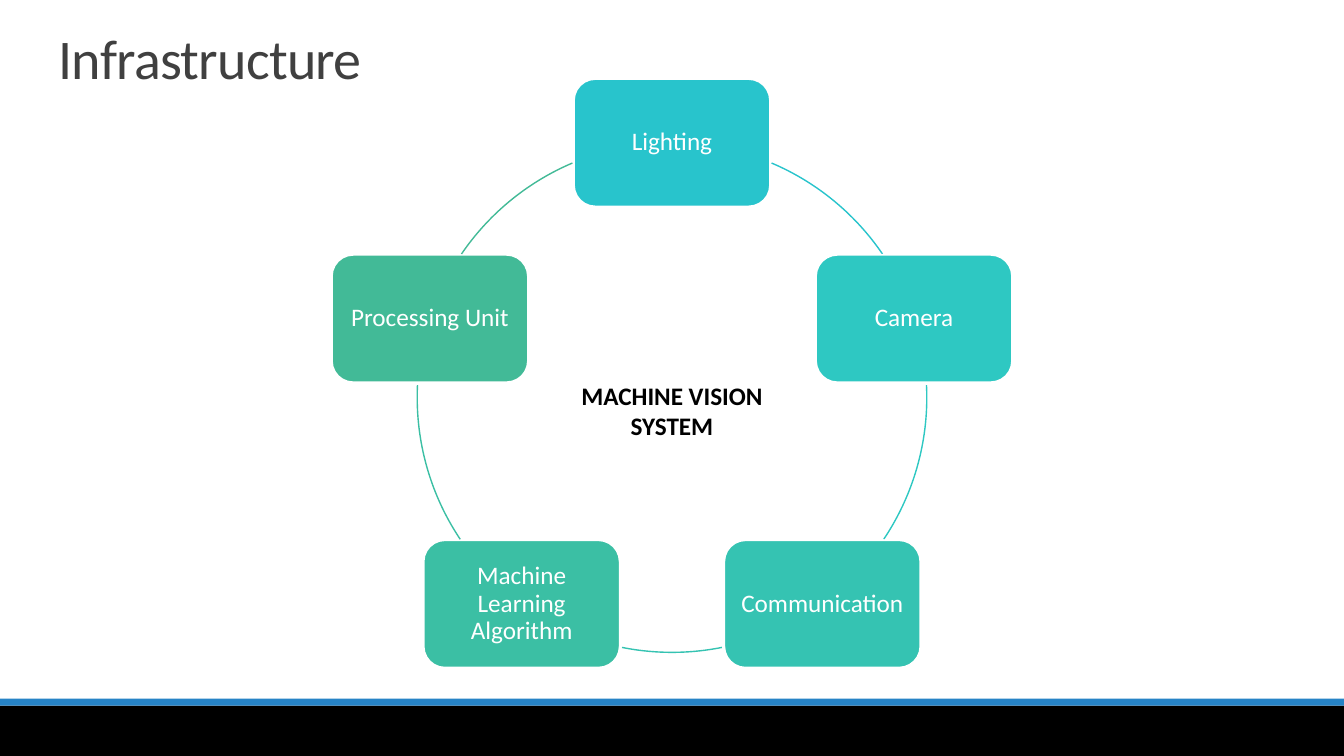
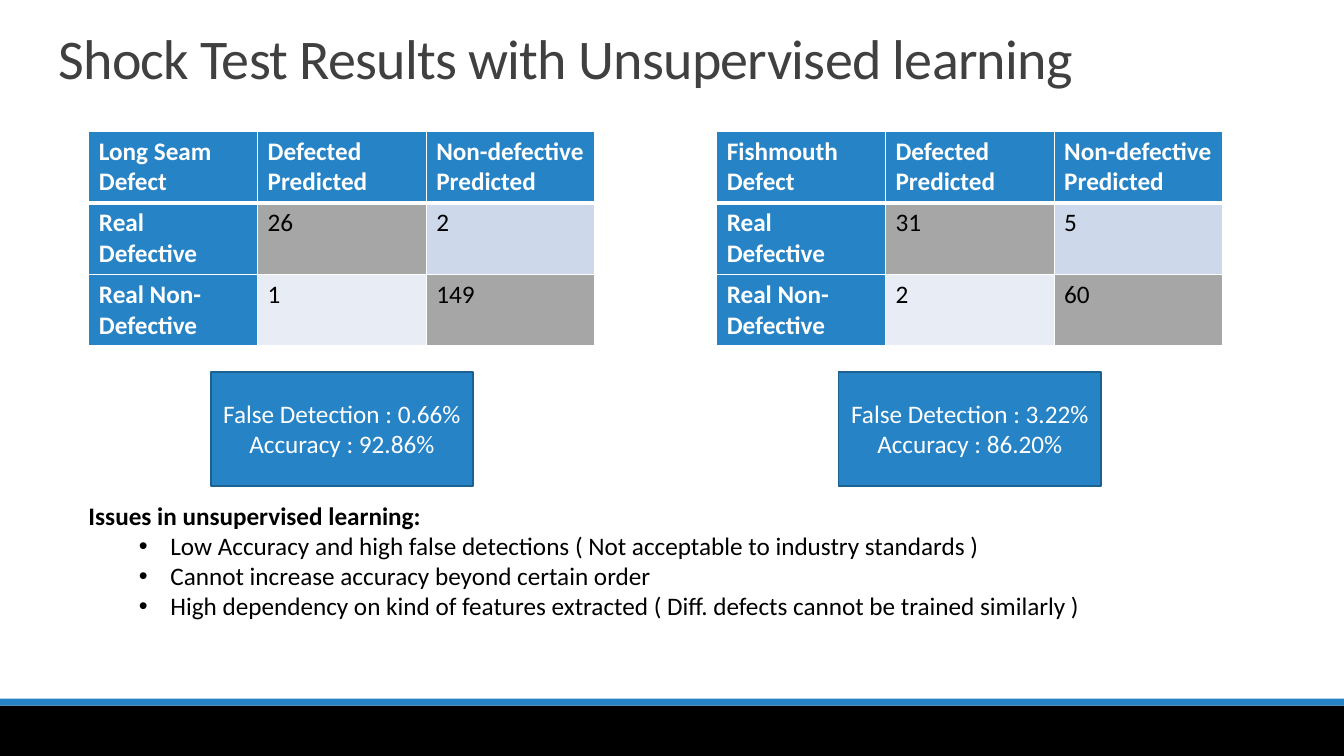
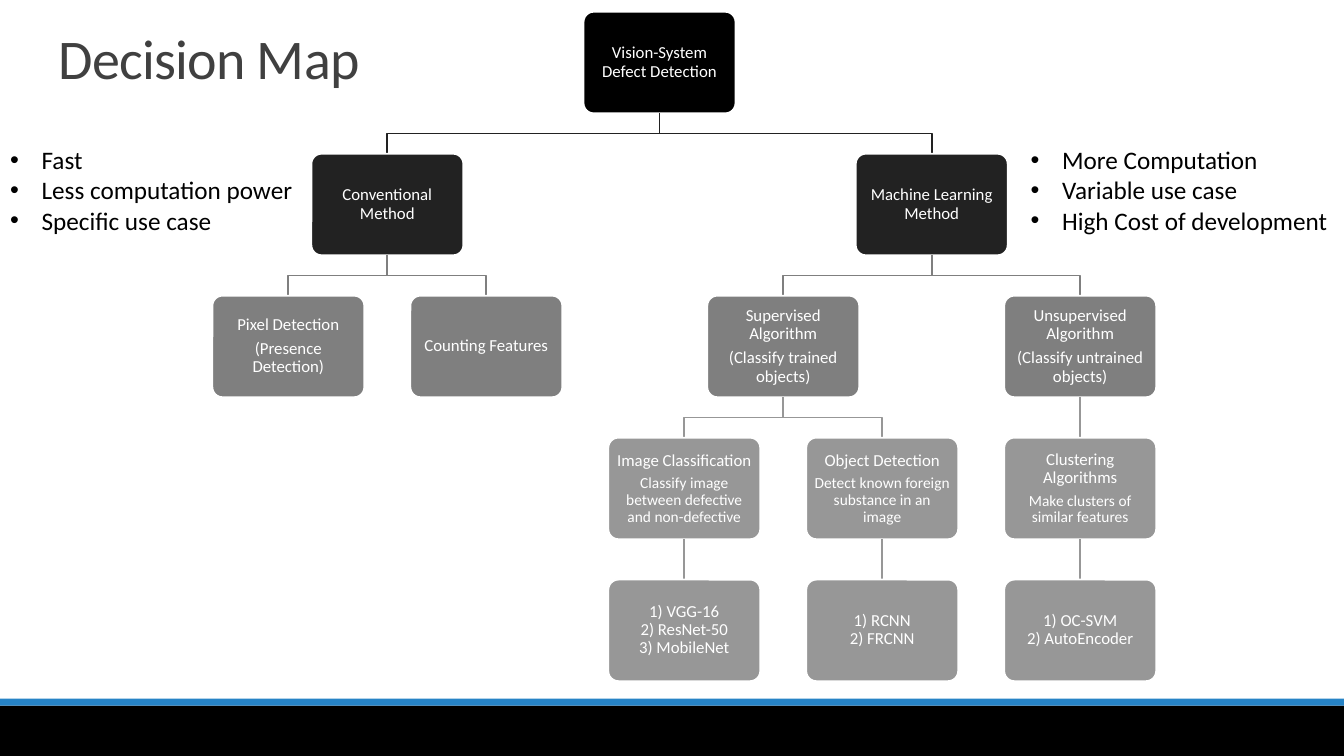
from copy import deepcopy

from lxml.etree import SubElement
from pptx import Presentation
from pptx.dml.color import RGBColor
from pptx.enum.shapes import MSO_CONNECTOR, MSO_SHAPE
from pptx.enum.text import MSO_ANCHOR, MSO_AUTO_SIZE, PP_ALIGN
from pptx.oxml.ns import qn
from pptx.util import Pt

RECT, ROUND, ARC = MSO_SHAPE.RECTANGLE, MSO_SHAPE.ROUNDED_RECTANGLE, MSO_SHAPE.ARC
STRAIGHT = MSO_CONNECTOR.STRAIGHT
LEFT, CENTER = PP_ALIGN.LEFT, PP_ALIGN.CENTER
TOP, MIDDLE, BOTTOM = MSO_ANCHOR.TOP, MSO_ANCHOR.MIDDLE, MSO_ANCHOR.BOTTOM
NO_FIT = MSO_AUTO_SIZE.NONE

WHITE = RGBColor(0xFF, 0xFF, 0xFF)
BLACK = RGBColor(0x00, 0x00, 0x00)
TITLE_GREY = RGBColor(0x40, 0x40, 0x40)
BLUE = RGBColor(0x26, 0x83, 0xC6)
DARK_BLUE = RGBColor(0x1C, 0x61, 0x92)
HIT_GREY = RGBColor(0xA6, 0xA6, 0xA6)
PALE_BLUE = RGBColor(0xCD, 0xD9, 0xEA)
PALER_BLUE = RGBColor(0xE8, 0xED, 0xF5)
RING_COLORS = [RGBColor(0x28, 0xC4, 0xCC), RGBColor(0x2E, 0xC8, 0xC2),
               RGBColor(0x35, 0xC3, 0xB2), RGBColor(0x3B, 0xBF, 0xA4),
               RGBColor(0x42, 0xBA, 0x97)]
MID_GREY = RGBColor(0x7F, 0x7F, 0x7F)
LIGHT_GREY = RGBColor(0x97, 0x97, 0x97)
LEVEL_COLORS = [BLACK, RGBColor(0x22, 0x22, 0x22), MID_GREY, LIGHT_GREY, LIGHT_GREY]

FONT = "Calibri"
BODY_SIZE = 18
TITLE_ONLY, ONE_LIST, TWO_LISTS = 5, 1, 3  # layouts of the template


class Deck:
    def __init__(self):
        self.prs = Presentation()
        self.prs.slide_width, self.prs.slide_height = Pt(960), Pt(540)
        self.slide = None

    def new_slide(self, layout, title):
        self.slide = self.prs.slides.add_slide(self.prs.slide_layouts[layout])
        if len(self.prs.slides) == 1:
            self.master_bands()
        heading = self.slide.shapes.title
        self.place(heading, 34.5, 18, 792, 50.4)
        self.set_text(heading.text_frame, [title], 40, TITLE_GREY, LEFT, BOTTOM, spacing=0.85)
        heading.text_frame.paragraphs[0].runs[0].font._element.set("spc", "-50")

    def master_bands(self):
        """Draw the bottom bands and hand them to the slide master."""
        tree = self.prs.slide_master.shapes._spTree
        for number, (top, height, color) in enumerate([(504, 36, BLACK), (499, 5, BLUE)]):
            band = self.box(RECT, 0, top, 960, height, color)._element
            band.nvSpPr.cNvPr.set("id", str(101 + number))
            tree.insert(2 + number, band)

    @staticmethod
    def place(shape, left, top, width, height):
        shape.left, shape.top = Pt(left), Pt(top)
        shape.width, shape.height = Pt(width), Pt(height)

    @staticmethod
    def style(paragraph, size, color, bold=False):
        for run in paragraph.runs:
            font = run.font
            font.name, font.size, font.bold = FONT, Pt(size), bold
            font.color.rgb = color
        # line breaks take the size of the text around them
        for line_break in paragraph._p.findall(qn("a:br")):
            line_break.append(deepcopy(paragraph.runs[0]._r.rPr))

    def set_text(self, frame, texts, size, color, align=LEFT, anchor=TOP, bold=False,
                 spacing=1.0, after=0, detail_size=None):
        frame.word_wrap, frame.auto_size = True, NO_FIT
        frame.vertical_anchor = anchor
        for index, text in enumerate(texts):
            paragraph = frame.add_paragraph() if index else frame.paragraphs[0]
            paragraph.text = text
            paragraph.alignment, paragraph.line_spacing = align, spacing
            paragraph.space_before, paragraph.space_after = Pt(0), Pt(after)
            self.style(paragraph, detail_size if index and detail_size else size, color, bold)

    def box(self, kind, left, top, width, height, fill, line=None):
        shape = self.slide.shapes.add_shape(kind, Pt(left), Pt(top), Pt(width), Pt(height))
        shape.shadow.inherit = False
        shape.fill.solid()
        shape.fill.fore_color.rgb = fill
        if line is None:
            shape.line.fill.background()
        else:
            shape.line.color.rgb, shape.line.width = line, Pt(1.25)
        return shape

    def card(self, x, y, width, height, fill, texts, size, margin, corner=None,
             detail_size=None):
        """Rounded box centred on x, y."""
        card = self.box(ROUND, x - width / 2, y - height / 2, width, height, fill, WHITE)
        if corner is not None:
            card.adjustments[0] = corner
        frame = card.text_frame
        frame.margin_left = frame.margin_right = Pt(margin)
        frame.margin_top = frame.margin_bottom = Pt(margin)
        self.set_text(frame, texts, size, WHITE, CENTER, MIDDLE, spacing=0.9,
                      after=0.35 * size, detail_size=detail_size)

    def arc(self, x, y, radius, start, end, color):
        arc = self.slide.shapes.add_shape(ARC, Pt(x - radius), Pt(y - radius),
                                          Pt(2 * radius), Pt(2 * radius))
        arc.shadow.inherit = False
        arc.fill.background()
        arc.line.color.rgb, arc.line.width = color, Pt(1)
        # adjustments count in 100000ths, angles in 60000ths of a degree
        arc.adjustments[0], arc.adjustments[1] = start * 0.6, end * 0.6

    def branch(self, x1, y1, x2, y2, color):
        """Line from parent to child, with a bend half way if they are not aligned."""
        shapes = self.slide.shapes
        if x1 == x2:
            line = shapes.add_connector(STRAIGHT, Pt(x1), Pt(y1), Pt(x2), Pt(y2))
            SubElement(line._element.spPr, qn("a:effectLst"))
        else:
            middle = (y1 + y2) / 2
            outline = shapes.build_freeform(Pt(x1), Pt(y1))
            bends = [(x1, middle), (x2, middle), (x2, y2)]
            outline.add_line_segments([(Pt(x), Pt(y)) for x, y in bends], close=False)
            line = outline.convert_to_shape()
            line.shadow.inherit = False
            line.fill.background()
        line.line.color.rgb, line.line.width = color, Pt(1.25)

    def label(self, left, top, width, height, text):
        label = self.slide.shapes.add_textbox(Pt(left), Pt(top), Pt(width), Pt(height))
        self.set_text(label.text_frame, [text], BODY_SIZE, BLACK, CENTER, bold=True)

    def bullets(self, index, left, top, width, height, items, heading=None):
        body = self.slide.placeholders[index]
        self.place(body, left, top, width, height)
        texts = items if heading is None else [heading] + items
        self.set_text(body.text_frame, texts, BODY_SIZE, BLACK)
        for paragraph in body.text_frame.paragraphs:
            properties = paragraph._p.get_or_add_pPr()
            if paragraph.text == heading:
                self.style(paragraph, BODY_SIZE, BLACK, bold=True)
                properties.set("marL", "0")
                properties.set("indent", "0")
                SubElement(properties, qn("a:buNone"))
                continue
            if heading is not None:
                paragraph.level = 1
            properties.set("marL", str(Pt(22.5 if heading is None else 58.5)))
            properties.set("indent", str(Pt(-22.5)))
            SubElement(properties, qn("a:buFont")).set("typeface", "Arial")
            SubElement(properties, qn("a:buChar")).set("char", "•")

    @staticmethod
    def borders(cell, **widths):
        properties = cell._tc.get_or_add_tcPr()
        for side in "LRTB":
            line = SubElement(properties, qn("a:ln" + side), w=str(Pt(widths.get(side, 1))))
            fill = SubElement(line, qn("a:solidFill"))
            SubElement(fill, qn("a:srgbClr")).set("val", str(WHITE))

    def confusion_matrix(self, left, top, rows):
        table = self.slide.shapes.add_table(3, 3, Pt(left), Pt(top), Pt(361.5), Pt(151.2)).table
        for column in table.columns:
            column.width = Pt(120.5)
        for r, row in enumerate(rows):
            table.rows[r].height = Pt(50.4)
            for c, text in enumerate(row):
                cell = table.cell(r, c)
                is_header = r == 0 or c == 0
                self.borders(cell, B=3 if r == 0 else 1, T=3 if r == 1 else 1)
                cell.fill.solid()
                if is_header:
                    cell.fill.fore_color.rgb = BLUE
                elif r == c:
                    cell.fill.fore_color.rgb = HIT_GREY
                else:
                    cell.fill.fore_color.rgb = PALE_BLUE if r == 1 else PALER_BLUE
                cell.text_frame.text = text
                self.style(cell.text_frame.paragraphs[0], BODY_SIZE,
                           WHITE if is_header else BLACK, bold=is_header)

    def score(self, left, top, texts):
        score = self.box(RECT, left, top, 187.5, 81.5, BLUE, DARK_BLUE)
        self.set_text(score.text_frame, texts, BODY_SIZE, WHITE, CENTER, MIDDLE)


def infrastructure(deck):
    deck.new_slide(TITLE_ONLY, "Infrastructure")
    x, y, radius = 480, 284, 182
    # unit offsets of the five corners of a pentagon, clockwise from the top
    corners = [(0, -1), (0.95, -0.31), (0.59, 0.81), (-0.59, 0.81), (-0.95, -0.31)]
    parts = ["Lighting", "Camera", "Communication", "Machine Learning Algorithm",
             "Processing Unit"]
    arcs = [(293, 325.7), (357.2, 33.8), (78.7, 101.3), (146.2, 182.8), (214.3, 247)]
    for part, (dx, dy), (start, end), color in zip(parts, corners, arcs, RING_COLORS):
        deck.card(x + dx * radius, y + dy * radius, 140, 91, color, [part], BODY_SIZE, 5)
        deck.arc(x, y, radius, start, end, color)
    deck.label(401.5, 268, 157, 51, "MACHINE VISION SYSTEM")


def shock_test(deck):
    deck.new_slide(ONE_LIST, "Shock Test Results with Unsupervised learning")
    results = [
        (63.5, "Long Seam Defect", ("26", "2"), ("1", "149"), "0.66%", "92.86%"),
        (512, "Fishmouth Defect", ("31", "5"), ("2", "60"), "3.22%", "86.20%"),
    ]
    for left, defect, defective, sound, false_rate, accuracy in results:
        deck.confusion_matrix(left, 93.6, [
            (defect, "Defected Predicted", "Non-defective Predicted"),
            ("Real Defective", *defective),
            ("Real Non-Defective", *sound),
        ])
        deck.score(left + 87, 265.5,
                   [f"False Detection : {false_rate}", f"Accuracy : {accuracy}"])
    deck.bullets(1, 56, 353.5, 817, 116.5, [
        "Low Accuracy and high false detections ( Not acceptable to industry standards )",
        "Cannot increase accuracy beyond certain order",
        "High dependency on kind of features extracted ( Diff. defects cannot be trained similarly )",
    ], heading="Issues in unsupervised learning:")


def decision_map(deck):
    deck.new_slide(TWO_LISTS, "Decision Map")
    # level, column, column of the parent, paragraphs; a parent sits midway over its children
    nodes = [
        (0, 1.875, None, ["Vision-System\nDefect Detection"]),
        (1, 0.5, 1.875, ["Conventional Method"]),
        (2, 0, 0.5, ["Pixel Detection", "(Presence Detection)"]),
        (2, 1, 0.5, ["Counting Features"]),
        (1, 3.25, 1.875, ["Machine Learning Method"]),
        (2, 2.5, 3.25, ["Supervised Algorithm", "(Classify trained objects)"]),
        (3, 2, 2.5, ["Image Classification",
                     "Classify image between defective and non-defective"]),
        (4, 2, 2, ["1) VGG-16\n2) ResNet-50\n3) MobileNet"]),
        (3, 3, 2.5, ["Object Detection", "Detect known foreign substance in an image"]),
        (4, 3, 3, ["1) RCNN\n2) FRCNN"]),
        (2, 4, 3.25, ["Unsupervised Algorithm", "(Classify untrained objects)"]),
        (3, 4, 4, ["Clustering Algorithms", "Make clusters of similar features"]),
        (4, 4, 4, ["1) OC-SVM\n2) AutoEncoder"]),
    ]
    width, height, column_step, level_step = 108.5, 72.5, 141.4, 101.4
    for level, column, parent, texts in nodes:
        x, y = 206 + column * column_step, 44.7 + level * level_step
        color = LEVEL_COLORS[level]
        if parent is not None:
            deck.branch(206 + parent * column_step, y - level_step + height / 2,
                        x, y - height / 2, color)
        deck.card(x, y, width, height, color, texts, 12, 3, corner=0.1,
                  detail_size=11 if level == 3 else None)
    deck.bullets(1, 0, 99.5, 245, 73, ["Fast", "Less computation power", "Specific use case"])
    deck.bullets(2, 729, 99.5, 231, 73,
                 ["More Computation", "Variable use case", "High Cost of development"])


def main():
    deck = Deck()
    infrastructure(deck)
    shock_test(deck)
    decision_map(deck)
    deck.prs.save("out.pptx")


if __name__ == "__main__":
    main()
